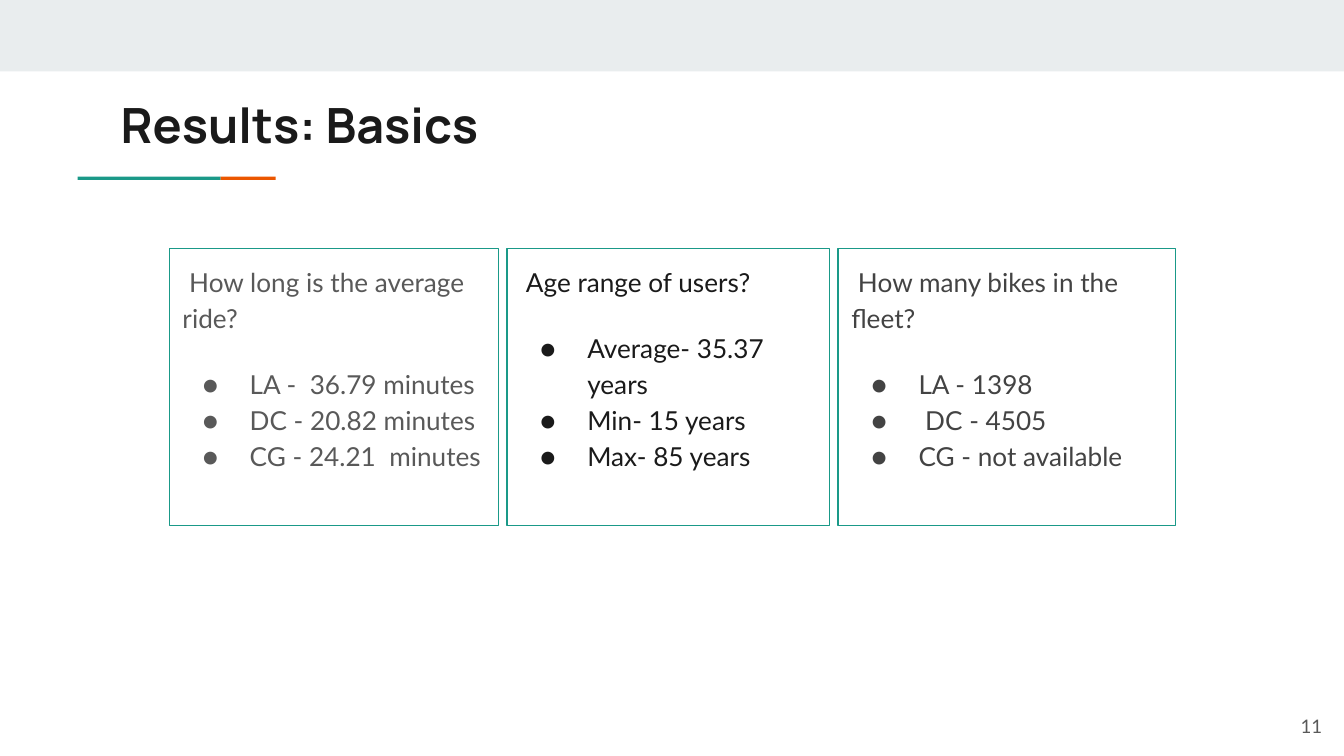
import pptx
import pptx.dml.color
import pptx.enum.shapes
import pptx.enum.text
import pptx.oxml
import pptx.oxml.ns
import pptx.util

Cm = pptx.util.Cm
Pt = pptx.util.Pt
Align = pptx.enum.text.PP_ALIGN
Anchor = pptx.enum.text.MSO_ANCHOR

COLORS = {
    "band": "E9EDEE",
    "teal": "1A9988",
    "orange": "EB5600",
    "ink": "1A1A1A",
    "gray": "595959",
    "dark_gray": "434343",
}
INSET = 0.25
CARD_GAP = 0.16

# Width in cm, text colour, question, answers
CARDS = [
    (6.22, "gray", " How long is the average ride?",
     ["LA -  36.79 minutes", "DC - 20.82 minutes", "CG - 24.21  minutes"]),
    (6.1, "ink", " Age range of users?",
     ["Average- 35.37 years", "Min- 15 years", "Max- 85 years"]),
    (6.38, "dark_gray", " How many bikes in the fleet?",
     ["LA - 1398", " DC - 4505", "CG - not available"]),
]


def rgb(name):
    return pptx.dml.color.RGBColor.from_string(COLORS[name])


def add_bar(page, box, color):
    """Add a filled rectangle without outline."""
    bar = page.shapes.add_shape(
        pptx.enum.shapes.MSO_SHAPE.RECTANGLE, *map(Cm, box))
    bar.shadow.inherit = False
    bar.fill.solid()
    bar.fill.fore_color.rgb = rgb(color)
    bar.line.fill.background()


def add_text(page, box, lines, font, size, color, bold=False):
    """Add a wrapping text box with one paragraph per line."""
    shape = page.shapes.add_textbox(*map(Cm, box))
    frame = shape.text_frame
    frame.word_wrap = True
    frame.margin_left = frame.margin_right = Cm(INSET)
    frame.margin_top = frame.margin_bottom = Cm(INSET)
    frame.text = "\n".join(lines)
    for paragraph in frame.paragraphs:
        for span in paragraph.runs:
            span.font.name = font
            span.font.size = Pt(size)
            span.font.bold = bold
            span.font.color.rgb = rgb(color)
    return shape


def add_bullet(paragraph, color):
    properties = paragraph._p.get_or_add_pPr()
    properties.set("marL", str(Cm(1.27)))
    properties.set("indent", str(-Cm(0.89)))
    namespace = pptx.oxml.ns.nsdecls("a")
    for xml in (
        f'<a:buClr {namespace}><a:srgbClr val="{COLORS[color]}"/></a:buClr>',
        f'<a:buFont {namespace} typeface="Lato"/>',
        f'<a:buChar {namespace} char="●"/>',
    ):
        properties.append(pptx.oxml.parse_xml(xml))


def add_header(page, box):
    """Add the top band, the title and the two-colour rule below it."""
    left, top, width, height = box
    add_bar(page, (left, top, width, 1.35), "band")
    add_text(page, (left + 2.03, top + 1.55, 21.36, 1.5),
             ["Results: Basics"], "Manrope", 26, "ink", bold=True)
    rule_left, rule_top = left + 1.47, top + height - 0.06
    add_bar(page, (rule_left, rule_top, 2.7, 0.06), "teal")
    add_bar(page, (rule_left + 2.7, rule_top, 1.04, 0.06), "orange")


def add_card(page, box, color, question, answers):
    card = add_text(page, box, [question, *answers], "Lato", 14, color)
    card.line.color.rgb = rgb("teal")
    card.line.width = Pt(0.75)
    paragraphs = card.text_frame.paragraphs
    for paragraph in paragraphs:
        paragraph.line_spacing = 1.15
    paragraphs[1].space_before = Pt(16)
    for paragraph in paragraphs[1:]:
        add_bullet(paragraph, color)


def add_cards(page, box):
    left, top, _, height = box
    for width, color, question, answers in CARDS:
        add_card(page, (left, top, width, height), color, question, answers)
        left += width + CARD_GAP


def add_page_number(page, box):
    number = add_text(page, box, ["11"], "Lato", 10, "gray")
    number.text_frame.vertical_anchor = Anchor.MIDDLE
    number.text_frame.paragraphs[0].alignment = Align.RIGHT


def main():
    deck = pptx.Presentation()
    deck.slide_width = Cm(25.4)
    deck.slide_height = Cm(14.29)
    page = deck.slides.add_slide(deck.slide_layouts[6])
    add_header(page, (0, 0, 25.4, 3.4))
    add_cards(page, (3.2, 4.7, 19.02, 5.23))
    add_page_number(page, (23.72, 13.18, 1.52, 1.09))
    deck.save("out.pptx")


if __name__ == "__main__":
    main()
